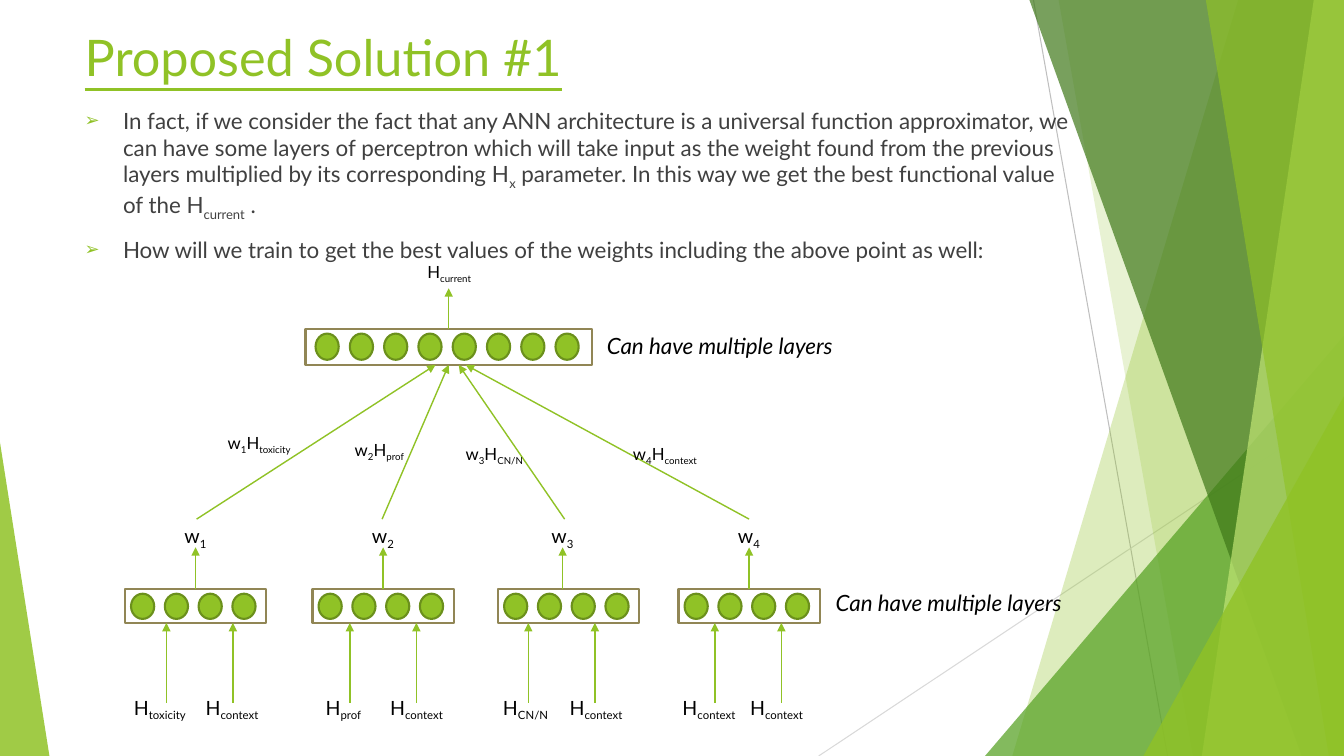
from lxml import etree
from pptx import Presentation
from pptx.dml.color import RGBColor
from pptx.enum.shapes import MSO_CONNECTOR, MSO_SHAPE
from pptx.enum.text import MSO_ANCHOR, MSO_AUTO_SIZE, PP_ALIGN
from pptx.oxml.ns import qn
from pptx.util import Inches, Pt

LINE = MSO_CONNECTOR.STRAIGHT
RECT = MSO_SHAPE.RECTANGLE
OVAL = MSO_SHAPE.OVAL
WEDGE = MSO_SHAPE.ISOSCELES_TRIANGLE
TOP = MSO_ANCHOR.TOP
LEFT = PP_ALIGN.LEFT
FIXED = MSO_AUTO_SIZE.NONE
GROW = MSO_AUTO_SIZE.SHAPE_TO_FIT_TEXT

GREEN, GREY, BLACK = "90C226", "404040", "000000"
NOTE = "Can have multiple layers"
BODY = (
    "In fact, if we consider the fact that any ANN architecture is a universal "
    "function approximator, we can have some layers of perceptron which will take "
    "input as the weight found from the previous layers multiplied by its "
    "corresponding H|x| parameter. In this way we get the best functional value "
    "of the H|current| .",
    "How will we train to get the best values of the weights including the above "
    "point as well:",
)
BANDS = (
    ((12.28, 0), (13.33, 0), (13.33, 7.5), (10.04, 7.5), GREEN, 30),
    ((10.5, 0), (13.33, 0), (13.33, 7.5), (11.83, 7.5), GREEN, 20),
    (9.77, 3.33, 3.56, 4.17, 1, "54A021", 72),
    ((10.21, 0), (13.33, 0), (13.33, 7.5), (12.91, 7.5), "3F7819", 70),
    ((13.03, 0), (13.33, 0), (13.33, 7.5), (11.92, 7.5), "C0E474", 70),
    ((11.96, 0), (13.33, 0), (13.33, 7.5), (13.18, 7.5), GREEN, 65),
    (11.34, 3.93, 1.99, 3.57, 1, GREEN, 80),
    (0, 4.39, 0.49, 3.11, 0, GREEN, 85),
)
# Layer left, weight x, first input x, inputs (left, text), edge start, edge end, edge label
NETS = (
    (1.24, 1.94, 1.65, ((1.23, "H|toxicity"), (1.94, "H|context")),
     1.95, 4.32, (2.16, 4.24, "w|1|H|toxicity")),
    (3.1, 3.8, 3.47, ((3.13, "H|prof"), (3.77, "H|context")),
     3.79, 4.45, (3.42, 4.31, "w|2|H|prof")),
    (4.94, 5.58, 5.24, ((4.89, "H|CN/N"), (5.55, "H|context")),
     5.6, 4.55, (4.52, 4.35, "w|3|H|CN/N")),
    (6.73, 7.43, 7.09, ((6.67, "H|context"), (7.34, "H|context")),
     7.43, 4.62, (6.18, 4.35, "w|4|H|context")),
)


def tint(part, code):
    """Give a fill or font colour its hex value."""
    part.rgb = RGBColor.from_string(code)


def style(item, form):
    """Set each attribute named in a dict of format values."""
    for name, value in form.items():
        setattr(item, name, value)


def paint(shape, fill, edge=None, alpha=100):
    """Fill and outline a shape without shadow."""
    shape.shadow.inherit = False
    shape.fill.solid()
    tint(shape.fill.fore_color, fill)
    if alpha < 100:
        code = shape._element.spPr.find(".//" + qn("a:srgbClr"))
        etree.SubElement(code, qn("a:alpha"), val=str(alpha * 1000))
    if edge:
        tint(shape.line.color, edge)
        shape.line.width = Pt(1.5)
    else:
        shape.line.fill.background()


def block(slide, kind, box, fill, edge=None, alpha=100):
    """Add a painted preset shape."""
    shape = slide.shapes.add_shape(kind, *map(Inches, box))
    paint(shape, fill, edge, alpha)
    return shape


def band(slide, *spec):
    """Add one translucent side band, four-cornered or triangular."""
    *form, fill, alpha = spec
    if len(form) == 5:
        *box, apex = form
        shape = block(slide, WEDGE, box, fill, alpha=alpha)
        shape.adjustments[0] = apex
        return
    first, *rest = [(Inches(x), Inches(y)) for x, y in form]
    pen = slide.shapes.build_freeform(*first)
    pen.add_line_segments(rest)
    paint(pen.convert_to_shape(), fill, alpha=alpha)


def wire(slide, ends, code=GREEN, width=1, head=True):
    """Add a straight line, with an arrowhead unless told otherwise."""
    line = slide.shapes.add_connector(LINE, *map(Inches, ends))
    tint(line.line.color, code)
    line.line.width = Pt(width)
    if head:
        etree.SubElement(line.line._get_or_add_ln(), qn("a:tailEnd"), type="triangle")
    etree.SubElement(line._element.spPr, qn("a:effectLst"))
    return line


def write(para, text, size, code, italic=False, under=False):
    """Write runs split by bars, every second one a subscript."""
    for i, piece in enumerate(text.split("|")):
        run = para.add_run()
        run.text = piece
        style(run.font, {"name": "Lato", "size": Pt(size),
                         "italic": italic, "underline": under})
        tint(run.font.color, code)
        if i % 2:
            run._r.get_or_add_rPr().set("baseline", "-25000")


def label(slide, left, top, text, size=14, width=0.78, italic=False):
    """Add a one-line text box."""
    box = slide.shapes.add_textbox(*map(Inches, (left, top, width, size * 0.02 + 0.06)))
    style(box.text_frame, {"word_wrap": italic, "auto_size": GROW})
    write(box.text_frame.paragraphs[0], text, size, BLACK, italic)


def place(slide, holder, box):
    """Move a placeholder in front and return its text frame."""
    style(holder, dict(zip(("left", "top", "width", "height"), map(Inches, box))))
    slide.shapes._spTree.append(holder._element)
    frame = holder.text_frame
    style(frame, {"vertical_anchor": TOP, "auto_size": FIXED, "word_wrap": True})
    return frame


def bullet(para, text):
    """Write one bulleted paragraph."""
    style(para, {"alignment": LEFT, "space_before": Pt(10)})
    write(para, text, 16, GREY)
    props = para._p.get_or_add_pPr()
    props.set("marL", str(Inches(0.38)))
    props.set("indent", str(-Inches(0.38)))
    etree.SubElement(etree.SubElement(props, qn("a:buClr")), qn("a:srgbClr"), val=GREEN)
    etree.SubElement(props, qn("a:buSzPct"), val="80000")
    etree.SubElement(props, qn("a:buChar"), char="➢")


def layer(slide, box, inset, pitch, size, count):
    """Add a framed row of neurons and return the frame."""
    frame = block(slide, RECT, box, "FFFFFF", "918655")
    for i in range(count):
        spot = (box[0] + inset + i * pitch, box[1] + 0.05, 0.23, size)
        block(slide, OVAL, spot, GREEN, "6B901C")
    return frame


def net(slide, num, out, left, mid, feed, inputs, start, end, tag):
    """Add one small network and its weighted edge to the output layer."""
    frame = layer(slide, (left, 5.84, 1.4, 0.34), 0.06, 0.335, 0.25, 4)
    for i, (x, text) in enumerate(inputs):
        wire(slide, (feed + i * 0.66, 6.97, feed + i * 0.66, 6.18))
        label(slide, x, 6.85, text)
    rise = wire(slide, (mid, 5.84, mid, 5.43))
    if abs(left + 0.7 - mid) < 0.02:
        rise.begin_connect(frame, 0)
    label(slide, mid - 0.21, 5.15, f"w|{num}", width=0.42)
    edge = wire(slide, (start, 5.15, end, 3.62))
    if end == 4.45:
        edge.end_connect(out, 2)
    label(slide, *tag, size=12, width=0.9)


def main():
    """Build and save the slide."""
    deck = Presentation()
    style(deck, {"slide_width": Inches(13.33), "slide_height": Inches(7.5)})
    slide = deck.slides.add_slide(deck.slide_layouts[1])
    wire(slide, (10.25, 0, 11.58, 7.5), "BFBFBF", 0.75, False)
    wire(slide, (13.33, 4.03, 8.12, 7.5), "D9D9D9", 0.75, False)
    for spec in BANDS:
        band(slide, *spec)
    title, body = slide.placeholders
    head = place(slide, title, (0.74, 0.21, 9.4, 0.8)).paragraphs[0]
    head.alignment = LEFT
    write(head, "Proposed Solution #1", 36, GREEN, under=True)
    frame = place(slide, body, (0.74, 1.01, 9.97, 6.49))
    bullet(frame.paragraphs[0], BODY[0])
    bullet(frame.add_paragraph(), BODY[1])
    out = layer(slide, (3.03, 3.26, 2.84, 0.36), 0.1, 0.34, 0.26, 8)
    wire(slide, (4.45, 3.26, 4.45, 2.86)).begin_connect(out, 0)
    label(slide, 4.14, 2.55, "H|current", 12)
    for num, spec in enumerate(NETS, 1):
        net(slide, num, out, *spec)
    for left, top in ((5.92, 3.25), (8.19, 5.8)):
        label(slide, left, top, NOTE, 16, 3.03, True)
    deck.save("out.pptx")


if __name__ == "__main__":
    main()
